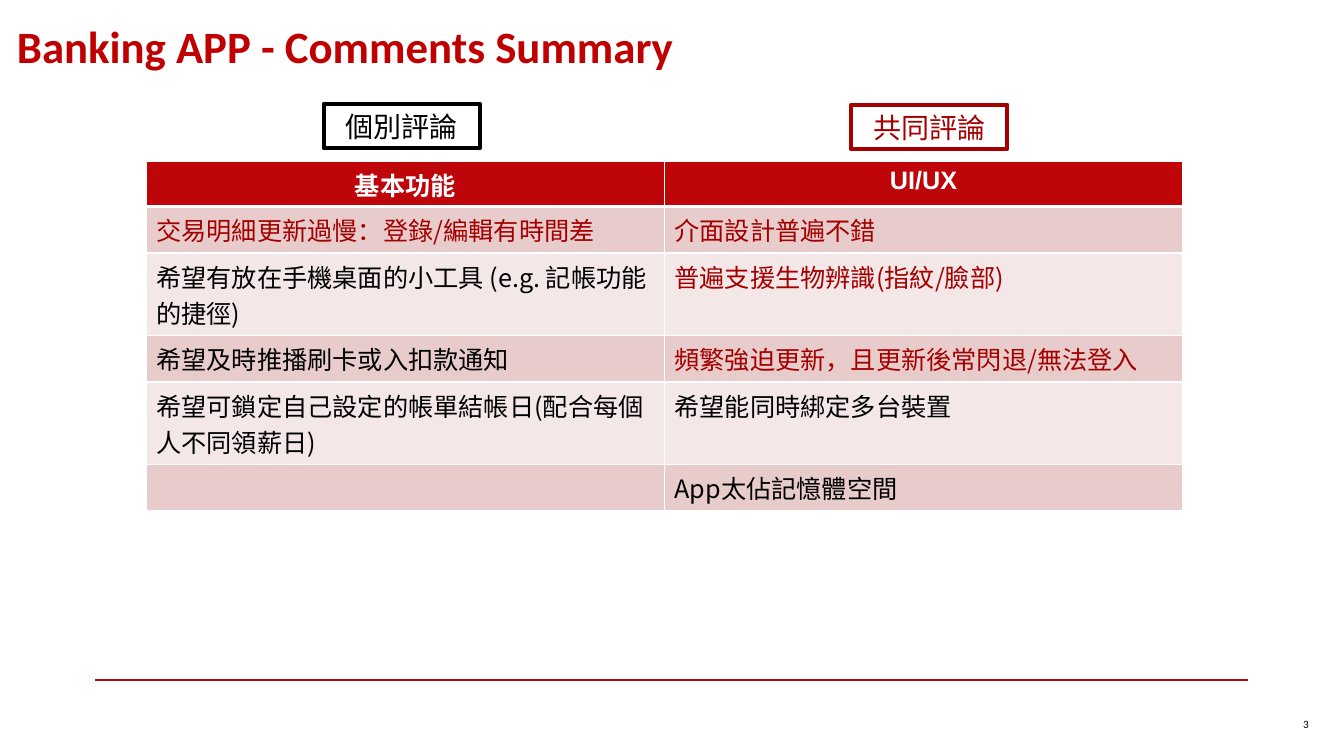
from dataclasses import dataclass

from lxml.etree import SubElement
from pptx import Presentation
from pptx.dml.color import RGBColor as Rgb
from pptx.enum.shapes import MSO_CONNECTOR as Connector, MSO_SHAPE as Preset
from pptx.enum.text import MSO_ANCHOR as Anchor, PP_ALIGN as Align
from pptx.oxml.ns import qn
from pptx.slide import Slide
from pptx.table import _Cell as Cell
from pptx.text.text import TextFrame
from pptx.util import Inches, Pt

COLORS = {
    "title": "C00000",
    "header": "BE050A",
    "shared": "A40000",
    "individual": "000000",
    "band_dark": "E8CCCC",
    "band_light": "F4E7E7",
    "white": "FFFFFF",
}
CJK_FONT = "Noto Sans CJK SC"


@dataclass(frozen=True)
class TextStyle:
    size: float
    font: str
    color: str
    bold: bool = False
    align: Align = Align.LEFT


@dataclass(frozen=True)
class LegendTag:
    label: str
    left: float
    top: float
    color: str


@dataclass(frozen=True)
class Comment:
    text: str
    shared: bool = False


@dataclass(frozen=True)
class CommentRow:
    height: float
    features: Comment
    ui_ux: Comment


TAGS = [
    LegendTag("共同評論", 8.44, 1.04, "shared"),
    LegendTag("個別評論", 3.21, 1.03, "individual"),
]
HEADINGS = ["基本功能", "UI/UX"]
HEADER_HEIGHT, ONE_LINE, TWO_LINES = 0.45, 0.46, 0.82
COMMENT_ROWS = [
    CommentRow(ONE_LINE, Comment("交易明細更新過慢：登錄/編輯有時間差", True),
               Comment("介面設計普遍不錯", True)),
    CommentRow(TWO_LINES, Comment("希望有放在手機桌面的小工具 (e.g. 記帳功能的捷徑)"),
               Comment("普遍支援生物辨識(指紋/臉部)", True)),
    CommentRow(ONE_LINE, Comment("希望及時推播刷卡或入扣款通知"),
               Comment("頻繁強迫更新，且更新後常閃退/無法登入", True)),
    CommentRow(TWO_LINES, Comment("希望可鎖定自己設定的帳單結帳日(配合每個人不同領薪日)"),
               Comment("希望能同時綁定多台裝置")),
    CommentRow(ONE_LINE, Comment(""), Comment("App太佔記憶體空間")),
]


def write(frame: TextFrame, text: str, style: TextStyle) -> None:
    frame.text = text
    paragraph = frame.paragraphs[0]
    paragraph.alignment = style.align
    for run in paragraph.runs:
        run.font.size = Pt(style.size)
        run.font.bold = style.bold
        run.font.color.rgb = Rgb.from_string(COLORS[style.color])
        run.font.name = style.font
        SubElement(run.font._element, qn("a:ea"), typeface=CJK_FONT)


def add_label(slide: Slide, box: tuple[float, ...], text: str,
              style: TextStyle, wrap: bool) -> None:
    frame = slide.shapes.add_textbox(*map(Inches, box)).text_frame
    frame.word_wrap = wrap
    frame.vertical_anchor = Anchor.MIDDLE
    write(frame, text, style)


def add_footer_rule(slide: Slide) -> None:
    rule = slide.shapes.add_connector(
        Connector.STRAIGHT, Inches(0.94), Inches(6.75), Inches(12.38), Inches(6.75))
    rule.line.color.rgb = Rgb.from_string(COLORS["header"])
    rule.line.width = Pt(1.5)
    SubElement(rule._element.spPr, qn("a:effectLst"))


def add_tag(slide: Slide, tag: LegendTag) -> None:
    frame_box = slide.shapes.add_shape(
        Preset.RECTANGLE, Inches(tag.left), Inches(tag.top), Inches(1.55), Inches(0.44))
    frame_box.shadow.inherit = False
    frame_box.fill.background()
    frame_box.line.color.rgb = Rgb.from_string(COLORS[tag.color])
    frame_box.line.width = Pt(3)
    frame_box.text_frame.word_wrap = True
    write(frame_box.text_frame, tag.label,
          TextStyle(20, "Calibri", tag.color, align=Align.CENTER))


def set_borders(cell: Cell, top: float, bottom: float) -> None:
    properties = cell._tc.get_or_add_tcPr()
    widths = {"a:lnL": 1, "a:lnR": 1, "a:lnT": top, "a:lnB": bottom}
    for side, width in widths.items():
        border = SubElement(properties, qn(side), w=str(Pt(width)))
        fill = SubElement(border, qn("a:solidFill"))
        SubElement(fill, qn("a:srgbClr"), val=COLORS["white"])


def fill_cell(cell: Cell, text: str, style: TextStyle, fill: str,
              top: float = 1, bottom: float = 1) -> None:
    write(cell.text_frame, text, style)
    set_borders(cell, top, bottom)
    cell.fill.solid()
    cell.fill.fore_color.rgb = Rgb.from_string(COLORS[fill])


def add_comment_table(slide: Slide) -> None:
    heights = [HEADER_HEIGHT] + [row.height for row in COMMENT_ROWS]
    table = slide.shapes.add_table(
        len(heights), len(HEADINGS), Inches(1.45), Inches(1.6),
        Inches(10.28), Inches(sum(heights))).table
    for row, height in zip(table.rows, heights):
        row.height = Inches(height)

    heading_style = TextStyle(18, "Arial", "white", True, Align.CENTER)
    for column, heading in enumerate(HEADINGS):
        fill_cell(table.cell(0, column), heading, heading_style, "header", bottom=3)

    for index, row in enumerate(COMMENT_ROWS, start=1):
        band = "band_dark" if index % 2 else "band_light"
        for column, comment in enumerate((row.features, row.ui_ux)):
            color = "shared" if comment.shared else "individual"
            fill_cell(table.cell(index, column), comment.text,
                      TextStyle(18, CJK_FONT, color), band,
                      top=3 if index == 1 else 1)


def main() -> None:
    deck = Presentation()
    deck.slide_width, deck.slide_height = Inches(13.33), Inches(7.5)
    slide = deck.slides.add_slide(deck.slide_layouts[6])
    add_footer_rule(slide)
    add_label(slide, (0.07, 0.14, 13.33 - 0.07, 0.63), "Banking APP - Comments Summary",
              TextStyle(32, "Calibri", "title", True), wrap=True)
    add_label(slide, (11.52, 6.97, 1.56, 0.42), "3",
              TextStyle(8, "Calibri", "individual", align=Align.RIGHT), wrap=True)
    add_comment_table(slide)
    for tag in TAGS:
        add_tag(slide, tag)
    deck.save("out.pptx")


if __name__ == "__main__":
    main()
